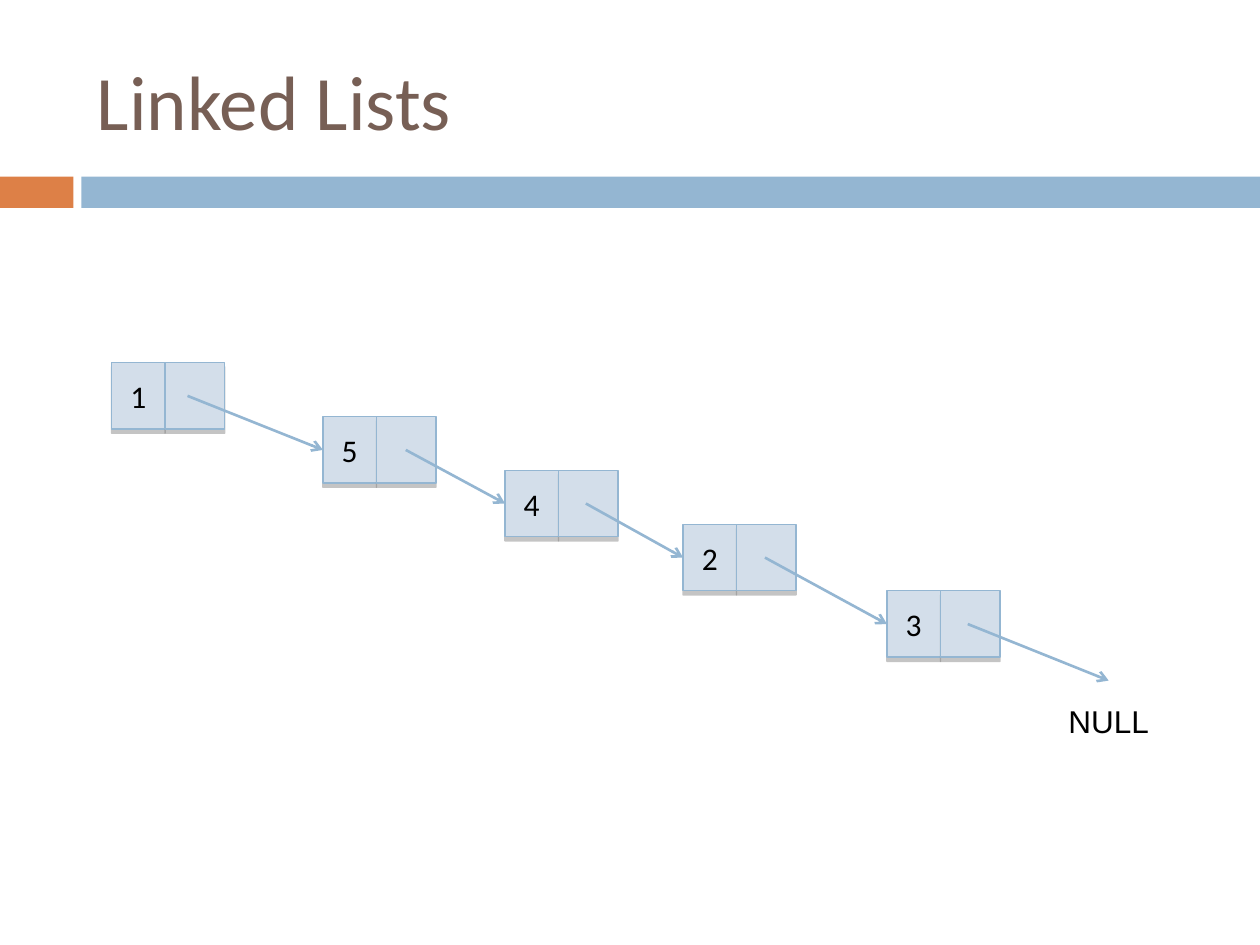
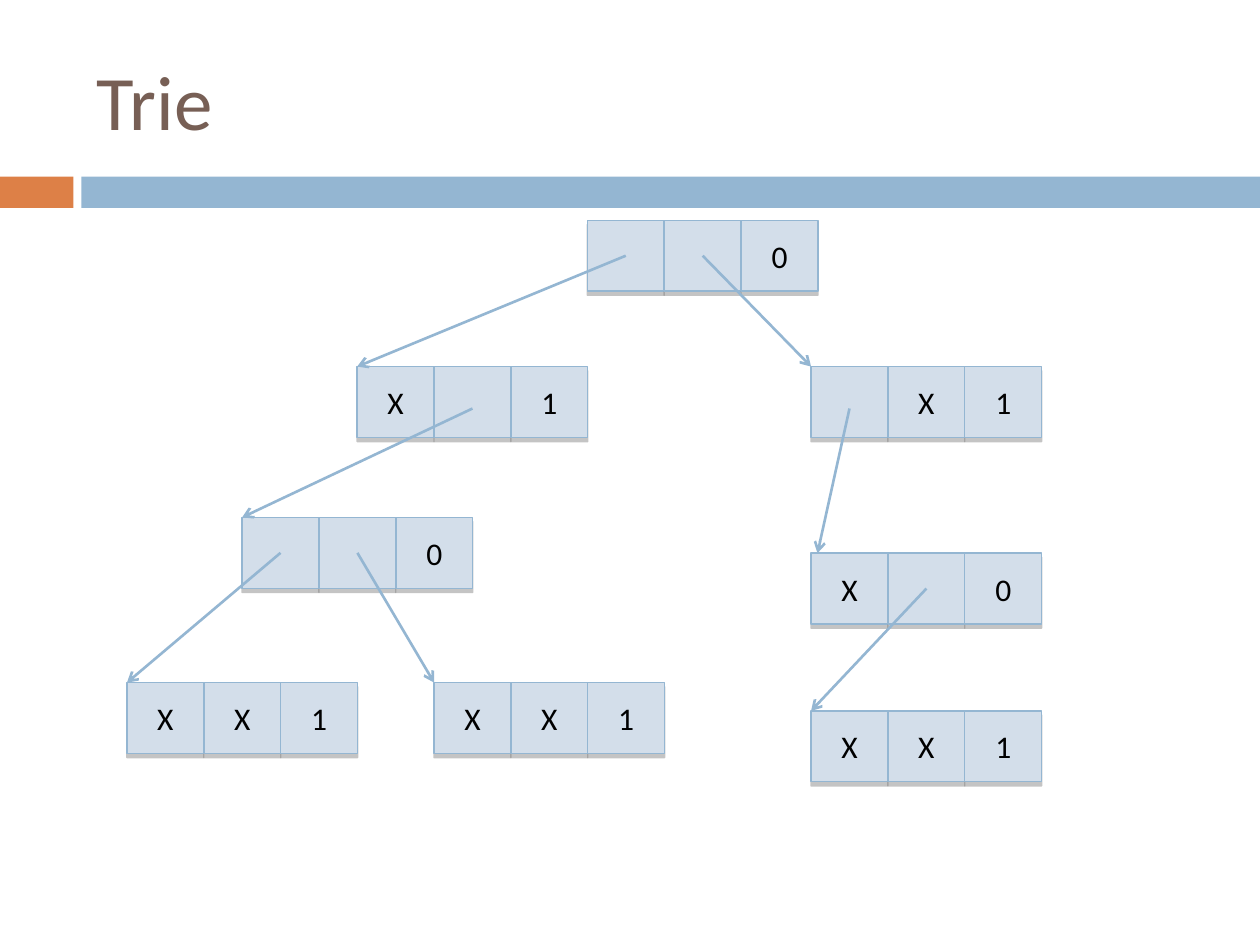
"""Build two slides on data structures: a linked list and a trie."""

from dataclasses import dataclass

from lxml.etree import SubElement
from pptx import Presentation
from pptx.dml.color import RGBColor
from pptx.enum.shapes import MSO_CONNECTOR, MSO_SHAPE
from pptx.enum.text import MSO_ANCHOR, MSO_AUTO_SIZE, PP_ALIGN
from pptx.oxml.ns import qn
from pptx.util import Cm, Pt


@dataclass(frozen=True)
class Theme:
    title: RGBColor = RGBColor.from_string("775F55")
    accent: RGBColor = RGBColor.from_string("DD8047")
    blue: RGBColor = RGBColor.from_string("94B6D2")
    cell: RGBColor = RGBColor.from_string("D3DEEA")
    ink: RGBColor = RGBColor.from_string("000000")
    shadow: str = "808080"
    font: str = "Calibri"
    label_font: str = "Arial"
    title_size: Pt = Pt(44)
    text_size: Pt = Pt(18)
    cell_line: Pt = Pt(0.79)
    arrow_line: Pt = Pt(1.5)


theme = Theme()


def add_cell(page, left, top, width, height, text):
    cell = page.shapes.add_shape(
        MSO_SHAPE.RECTANGLE, Cm(left), Cm(top), Cm(width), Cm(height))
    cell.fill.solid()
    cell.fill.fore_color.rgb = theme.cell
    cell.line.color.rgb = theme.blue
    cell.line.width = theme.cell_line
    cell.shadow.inherit = False
    effects = cell._element.spPr.find(qn("a:effectLst"))
    shadow = SubElement(effects, qn("a:outerShdw"), blurRad="0",
                        dist=str(Pt(2.4)), dir="5400000", rotWithShape="0")
    color = SubElement(shadow, qn("a:srgbClr"), val=theme.shadow)
    SubElement(color, qn("a:alpha"), val="45000")
    if text:
        frame = cell.text_frame
        frame.vertical_anchor = MSO_ANCHOR.MIDDLE
        para = frame.paragraphs[0]
        para.text = text
        para.alignment = PP_ALIGN.CENTER
        para.font.name = theme.font
        para.font.size = theme.text_size
        para.font.color.rgb = theme.ink


def add_arrow(page, start_x, start_y, end_x, end_y):
    arrow = page.shapes.add_connector(
        MSO_CONNECTOR.STRAIGHT, Cm(start_x), Cm(start_y), Cm(end_x), Cm(end_y))
    arrow.line.color.rgb = theme.blue
    arrow.line.width = theme.arrow_line
    SubElement(arrow.line._get_or_add_ln(), qn("a:tailEnd"), type="arrow")
    SubElement(arrow._element.spPr, qn("a:effectLst"))


deck = Presentation()
deck.slide_width = Cm(25.4)
deck.slide_height = Cm(19.05)

bands = [(0, 1.48, theme.accent), (1.64, 23.76, theme.blue)]
pages = []
for heading in ("Linked Lists", "Trie"):
    page = deck.slides.add_slide(deck.slide_layouts[5])
    for left, width, color in bands:
        band = page.shapes.add_shape(
            MSO_SHAPE.RECTANGLE, Cm(left), Cm(3.56), Cm(width), Cm(0.63))
        band.fill.solid()
        band.fill.fore_color.rgb = color
        band.line.fill.background()
        band.shadow.inherit = False
    title = page.shapes.title
    title.left, title.top = Cm(1.7), Cm(0.64)
    title.width, title.height = Cm(22.66), Cm(2.74)
    title.text_frame.auto_size = MSO_AUTO_SIZE.NONE
    title.text_frame.vertical_anchor = MSO_ANCHOR.MIDDLE
    para = title.text_frame.paragraphs[0]
    para.text = heading
    para.alignment = PP_ALIGN.LEFT
    para.font.name = theme.font
    para.font.size = theme.title_size
    para.font.color.rgb = theme.title
    pages.append(page)
list_page, trie_page = pages

value_width, pointer_width, node_height = 1.08, 1.2, 1.34
list_nodes = [
    ("1", 2.25, 7.31, 1.53),
    ("5", 6.51, 8.4, 1.67),
    ("4", 10.18, 9.48, 1.63),
    ("2", 13.77, 10.57, 1.65),
    ("3", 17.88, 11.91, 1.63),
]
for value, left, top, pointer_offset in list_nodes:
    add_cell(list_page, left, top, value_width, node_height, value)
    add_cell(list_page, left + value_width, top, pointer_width, node_height, "")

arrow_ends = [(left, top + node_height / 2) for _, left, top, _ in list_nodes[1:]]
arrow_ends.append((22.35, 13.72))
for (_, left, top, pointer_offset), (end_x, end_y) in zip(list_nodes, arrow_ends):
    add_arrow(list_page, left + pointer_offset, top + node_height / 2, end_x, end_y)

null_label = list_page.shapes.add_textbox(Cm(21.29), Cm(14.02), Cm(2.13), Cm(1.02))
null_label.text_frame.word_wrap = False
para = null_label.text_frame.paragraphs[0]
para.text = "NULL"
para.font.name = theme.label_font
para.font.size = theme.text_size
para.font.color.rgb = theme.ink

cell_width, cell_height = 1.55, 1.43
trie_nodes = {
    "root": (11.84, 4.44, ["", "", "0"]),
    "left": (7.2, 7.39, ["X", "", "1"]),
    "right": (16.35, 7.39, ["", "X", "1"]),
    "left fork": (4.88, 10.43, ["", "", "0"]),
    "right chain": (16.35, 11.15, ["X", "", "0"]),
    "right leaf": (16.35, 14.33, ["X", "X", "1"]),
    "middle leaf": (8.75, 13.76, ["X", "X", "1"]),
    "left leaf": (2.56, 13.76, ["X", "X", "1"]),
}
for left, top, values in trie_nodes.values():
    for column, value in enumerate(values):
        add_cell(trie_page, left + column * cell_width, top,
                 cell_width, cell_height, value)

links = [
    ("left fork", 0, "left leaf", 0, 0),
    ("left fork", 1, "middle leaf", 0, 0),
    ("root", 0, "left", 0, 0),
    ("root", 1, "right", 0, 0),
    ("left", 1, "left fork", 0.13, 0),
    ("right", 0, "right chain", 0.13, 0.13),
    ("right chain", 1, "right leaf", 0, 0),
]
for parent, column, child, start_drop, end_shift in links:
    parent_left, parent_top, _ = trie_nodes[parent]
    child_left, child_top, _ = trie_nodes[child]
    add_arrow(trie_page,
              parent_left + (column + 0.5) * cell_width,
              parent_top + cell_height / 2 + start_drop,
              child_left + end_shift, child_top)

deck.save("out.pptx")
